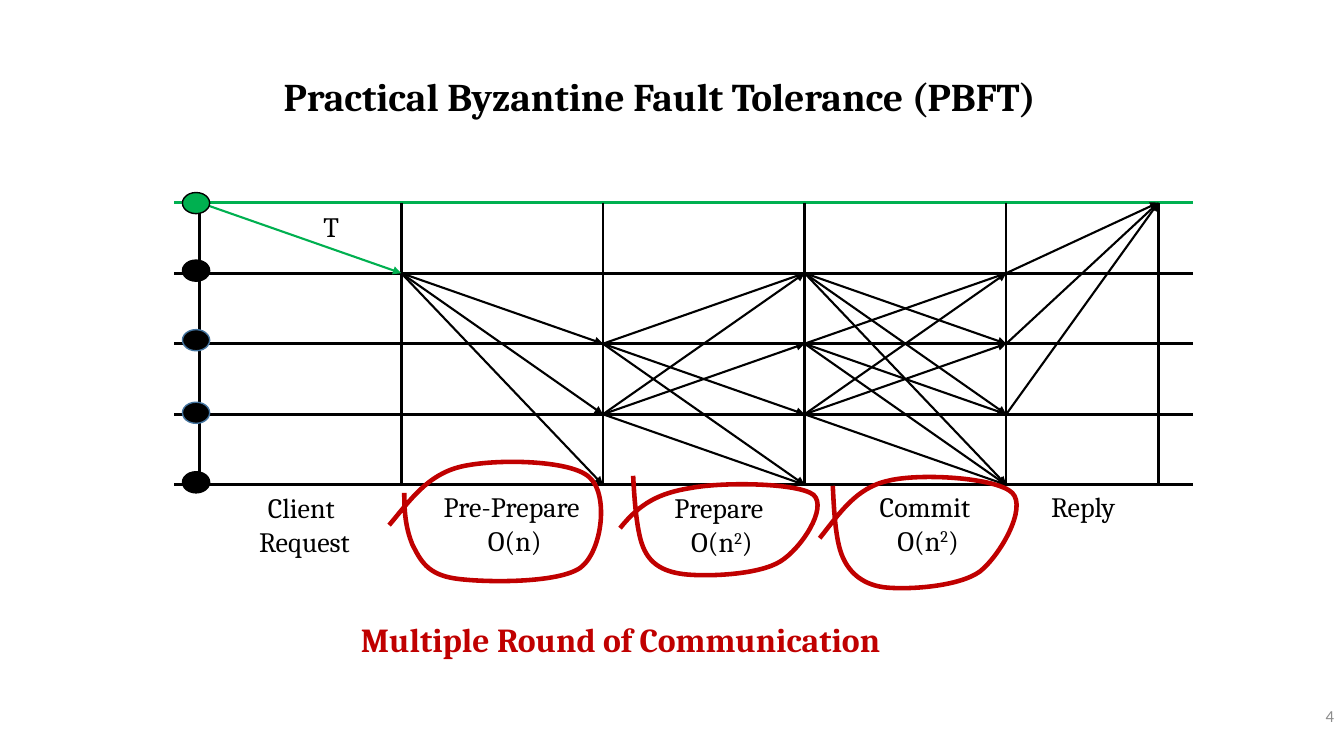
"""Builds the message-flow slide for Practical Byzantine Fault Tolerance."""
import dataclasses

import lxml.etree
import pptx
import pptx.dml.color
import pptx.enum.shapes
import pptx.enum.text
import pptx.oxml.ns
import pptx.util

inch = pptx.util.Inches
align = pptx.enum.text.PP_ALIGN
anchor = pptx.enum.text.MSO_ANCHOR


@dataclasses.dataclass
class Theme:
    ink: str = "000000"
    client: str = "00B050"
    accent: str = "C00000"
    muted: str = "8C8C8C"
    outline: str = "43739E"
    font: str = "Cambria"
    number_font: str = "Calibri"
    title: int = 28
    caption: int = 24
    label: int = 20
    number: int = 12


theme = Theme()


def write(box, text, size=theme.label, color=theme.ink, font=theme.font,
          bold=False, alignment=align.CENTER, spacing=1.0, middle=False):
    frame = box.text_frame
    frame.word_wrap = True
    frame.auto_size = pptx.enum.text.MSO_AUTO_SIZE.NONE
    frame.vertical_anchor = anchor.MIDDLE if middle else anchor.TOP
    for index, line in enumerate(text.split("\n")):
        para = frame.add_paragraph() if index else frame.paragraphs[0]
        para.alignment = alignment
        para.line_spacing = spacing
        for part, piece in enumerate(line.split("^")):
            span = para.add_run()
            span.text = piece
            span.font.name = font
            span.font.size = pptx.util.Pt(size)
            span.font.bold = bold
            span.font.color.rgb = pptx.dml.color.RGBColor.from_string(color)
            if part % 2:
                span.font._element.set("baseline", "30000")


def draw_line(start, end, width, color=theme.ink, arrow=False):
    line = page.shapes.add_connector(
        pptx.enum.shapes.MSO_CONNECTOR.STRAIGHT,
        *[inch(value) for value in (*start, *end)])
    line.line.width = pptx.util.Pt(width)
    line.line.color.rgb = pptx.dml.color.RGBColor.from_string(color)
    if arrow:
        tail = lxml.etree.SubElement(line.line._get_or_add_ln(), pptx.oxml.ns.qn("a:tailEnd"))
        tail.set("type", "triangle")
    lxml.etree.SubElement(line._element.spPr, pptx.oxml.ns.qn("a:effectLst"))


deck = pptx.Presentation()
deck.slide_width, deck.slide_height = inch(13.33), inch(7.5)
page = deck.slides.add_slide(deck.slide_layouts[5])

title = page.shapes.title
title.left, title.top, title.width, title.height = [inch(value) for value in (0.5, 0.59, 12, 0.63)]
write(title, " Practical Byzantine Fault Tolerance (PBFT)", size=theme.title,
      bold=True, spacing=1.2, middle=True)

lanes = [2.01 + 0.7 * row for row in range(5)]
stages = [1.98 + 2 * column for column in range(5)] + [11.49]

for row, lane in enumerate(lanes):
    draw_line((1.73, lane), (11.83, lane), 2.25, theme.ink if row else theme.client)
for stage in stages:
    draw_line((stage, lanes[0]), (stage, lanes[-1]), 1.75)

phases = [
    ([0], [1]),
    ([1], [2, 3, 4]),
    ([2, 3], [1, 2, 3, 4]),
    ([1, 2, 3], [1, 2, 3, 4]),
    ([1, 2, 3], [0]),
]
for column, (senders, receivers) in enumerate(phases):
    for sender in senders:
        for receiver in receivers:
            if sender != receiver:
                draw_line((stages[column], lanes[sender]),
                          (stages[column + 1], lanes[receiver]), 1.5,
                          theme.ink if column else theme.client, arrow=True)

texts = [
    ("T", (3.11, 2.03, 0.37, 0.44), {"alignment": align.LEFT}),
    ("Client \nRequest", (2.42, 4.82, 1.2, 0.77), {}),
    ("Pre-Prepare \nO(n)", (4.23, 4.81, 1.75, 0.77), {}),
    ("Prepare \nO(n^2^)", (6.54, 4.82, 1.24, 0.77), {}),
    ("Commit \nO(n^2^)", (8.56, 4.81, 1.29, 0.77), {}),
    ("Reply", (10.23, 4.81, 0.93, 0.44), {"alignment": align.RIGHT}),
    ("Multiple Round of Communication", (3.48, 6.09, 5.83, 0.5),
     {"size": theme.caption, "color": theme.accent, "bold": True, "alignment": align.LEFT}),
    ("4", (11.63, 6.9, 1.7, 0.4),
     {"size": theme.number, "color": theme.muted, "font": theme.number_font,
      "alignment": align.RIGHT, "middle": True}),
]
for text, place, style in texts:
    write(page.shapes.add_textbox(*[inch(value) for value in place]), text, **style)

nodes = [
    (1.91, theme.client, theme.ink),
    (2.58, theme.ink, theme.ink),
    (3.27, theme.ink, theme.outline),
    (3.99, theme.ink, theme.outline),
    (4.68, theme.ink, theme.ink),
]
for top, fill, outline in nodes:
    node = page.shapes.add_shape(pptx.enum.shapes.MSO_SHAPE.OVAL,
                                 inch(1.81), inch(top), inch(0.27), inch(0.21))
    node.shadow.inherit = False
    node.fill.solid()
    node.fill.fore_color.rgb = pptx.dml.color.RGBColor.from_string(fill)
    node.line.color.rgb = pptx.dml.color.RGBColor.from_string(outline)
    node.line.width = pptx.util.Pt(1)

loops = [
    ((3.86, 4.58, 2.1, 1.19),
     [(3.86, 5.21), (4.07, 4.96), (4.24, 4.71), (4.57, 4.63), (4.9, 4.55), (5.65, 4.56),
      (5.84, 4.73), (6.04, 4.89), (5.98, 5.46), (5.76, 5.63), (5.54, 5.79), (4.8, 5.78),
      (4.52, 5.74), (4.24, 5.7), (4.17, 5.56), (4.09, 5.4), (4.02, 5.23), (4.01, 5.06),
      (4.01, 4.89)]),
    ((6.15, 4.72, 1.96, 0.98),
     [(6.15, 5.24), (6.35, 4.99), (6.54, 4.89), (6.86, 4.84), (7.18, 4.78), (7.92, 4.79),
      (8.07, 4.91), (8.21, 5.04), (7.95, 5.44), (7.74, 5.57), (7.53, 5.7), (7.05, 5.72),
      (6.82, 5.7), (6.59, 5.68), (6.45, 5.6), (6.38, 5.43), (6.31, 5.27), (6.29, 4.9),
      (6.28, 4.72)]),
    ((8.13, 4.73, 1.96, 1.1),
     [(8.13, 5.34), (8.33, 5.09), (8.49, 4.84), (8.81, 4.77), (9.13, 4.69), (9.89, 4.74),
      (10.04, 4.89), (10.19, 5.04), (9.92, 5.51), (9.72, 5.67), (9.51, 5.82), (9.03, 5.85),
      (8.8, 5.83), (8.57, 5.81), (8.43, 5.69), (8.36, 5.53), (8.28, 5.36), (8.27, 4.99),
      (8.26, 4.82)]),
]
for place, loop in loops:
    points = [(inch(x), inch(y)) for x, y in loop]
    builder = page.shapes.build_freeform(*points[0])
    builder.add_line_segments(points[3::3], close=False)
    ring = builder.convert_to_shape()
    ring.left, ring.top, ring.width, ring.height = [inch(value) for value in place]
    stroke = next(ring._element.iter(pptx.oxml.ns.qn("a:path")))
    stroke.set("w", str(ring.width))
    stroke.set("h", str(ring.height))
    for child in list(stroke):
        stroke.remove(child)
    for index, (x, y) in enumerate(points):
        if index % 3 == 1 or index == 0:
            tag = "a:cubicBezTo" if index else "a:moveTo"
            command = lxml.etree.SubElement(stroke, pptx.oxml.ns.qn(tag))
        lxml.etree.SubElement(command, pptx.oxml.ns.qn("a:pt"),
                              x=str(x - ring.left), y=str(y - ring.top))
    ring.shadow.inherit = False
    ring.fill.background()
    ring.line.color.rgb = pptx.dml.color.RGBColor.from_string(theme.accent)
    ring.line.width = pptx.util.Pt(3.25)

deck.save("out.pptx")
